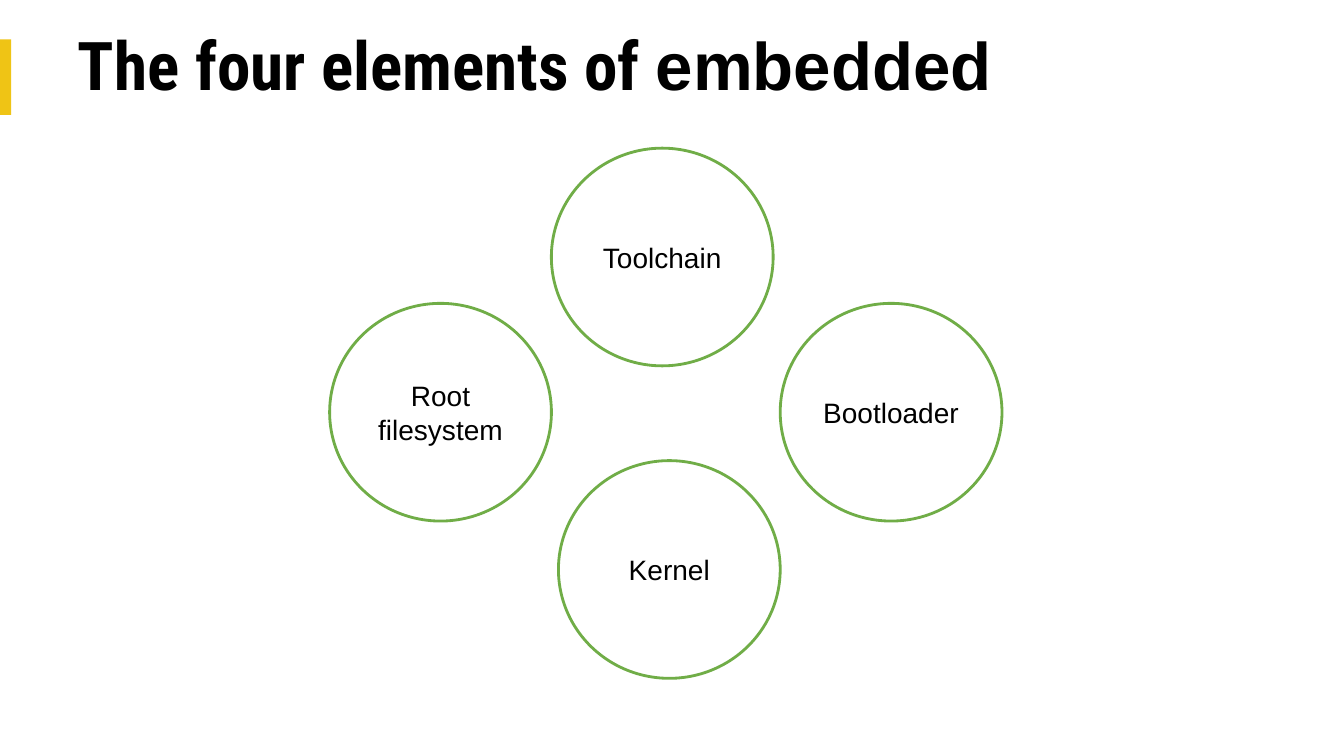
import pptx
import pptx.util
import pptx.dml.color
import pptx.enum.shapes
import pptx.enum.text

WIDE, HIGH = 13.33, 7.5
COLS, ROWS = 40, 22.5  # grid cells across and down the slide
ALIGN = pptx.enum.text.PP_ALIGN
MIDDLE = pptx.enum.text.MSO_ANCHOR.MIDDLE
KINDS = pptx.enum.shapes.MSO_SHAPE

# Circles: label, centre column, centre row
PARTS = [
    ("Toolchain", 19.71, 7.65),
    ("Kernel", 19.92, 16.95),
    ("Bootloader", 26.52, 12.27),
    ("Root filesystem", 13.11, 12.27),
]
ROUND = (6.6, 6.48)  # circle size in columns and rows


def color(code):
    return pptx.dml.color.RGBColor.from_string(code)


def col(count):
    return pptx.util.Inches(count * WIDE / COLS)


def row(count):
    return pptx.util.Inches(count * HIGH / ROWS)


def place(left, top, wide, high):
    return col(left), row(top), col(wide), row(high)


def style(item, form):
    for name, value in form.items():
        setattr(item, name, value)


def write(para, text, face, size, bold=False):
    run = para.add_run()
    run.text = text
    style(run.font, {"name": face, "size": pptx.util.Pt(size), "bold": bold})
    run.font.color.rgb = color("000000")


def shape(slide, kind, box, fill, edge=None):
    item = slide.shapes.add_shape(kind, *place(*box))
    item.shadow.inherit = False
    item.fill.solid()
    item.fill.fore_color.rgb = color(fill)
    if edge:
        item.line.color.rgb = color(edge)
        item.line.width = pptx.util.Pt(2)
    else:
        item.line.fill.background()
    return item


def title(slide, box, runs):
    head = slide.shapes.title
    spots = zip(("left", "top", "width", "height"), place(*box))
    style(head, dict(spots))
    style(head.text_frame, {"vertical_anchor": MIDDLE, "word_wrap": True})
    para = head.text_frame.paragraphs[0]
    style(para, {"alignment": ALIGN.LEFT, "line_spacing": 0.9})
    para._p.get_or_add_pPr().set("marL", str(col(1)))
    for text, face in runs:
        write(para, text, face, 48, True)


def circle(slide, label, mid_x, mid_y):
    wide, high = ROUND
    box = (mid_x - wide / 2, mid_y - high / 2, wide, high)
    item = shape(slide, KINDS.OVAL, box, "FFFFFF", "70AD47")
    style(item.text_frame, {"vertical_anchor": MIDDLE, "word_wrap": True})
    para = item.text_frame.paragraphs[0]
    para.alignment = ALIGN.CENTER
    write(para, label, "Arial", 20)


def main():
    deck = pptx.Presentation()
    style(deck, {"slide_width": col(COLS), "slide_height": row(ROWS)})
    slide = deck.slides.add_slide(deck.slide_layouts[5])

    # Accent bar and title
    shape(slide, KINDS.RECTANGLE, (0, 1.17, 0.33, 2.25), "EFC415")
    title(slide, (1.02, 0.66, 37.11, 2.76), [
        ("The four elements of ", "Roboto Condensed"),
        ("embedded", "Arial"),
    ])

    # Four elements
    for part in PARTS:
        circle(slide, *part)

    deck.save("out.pptx")


if __name__ == "__main__":
    main()
